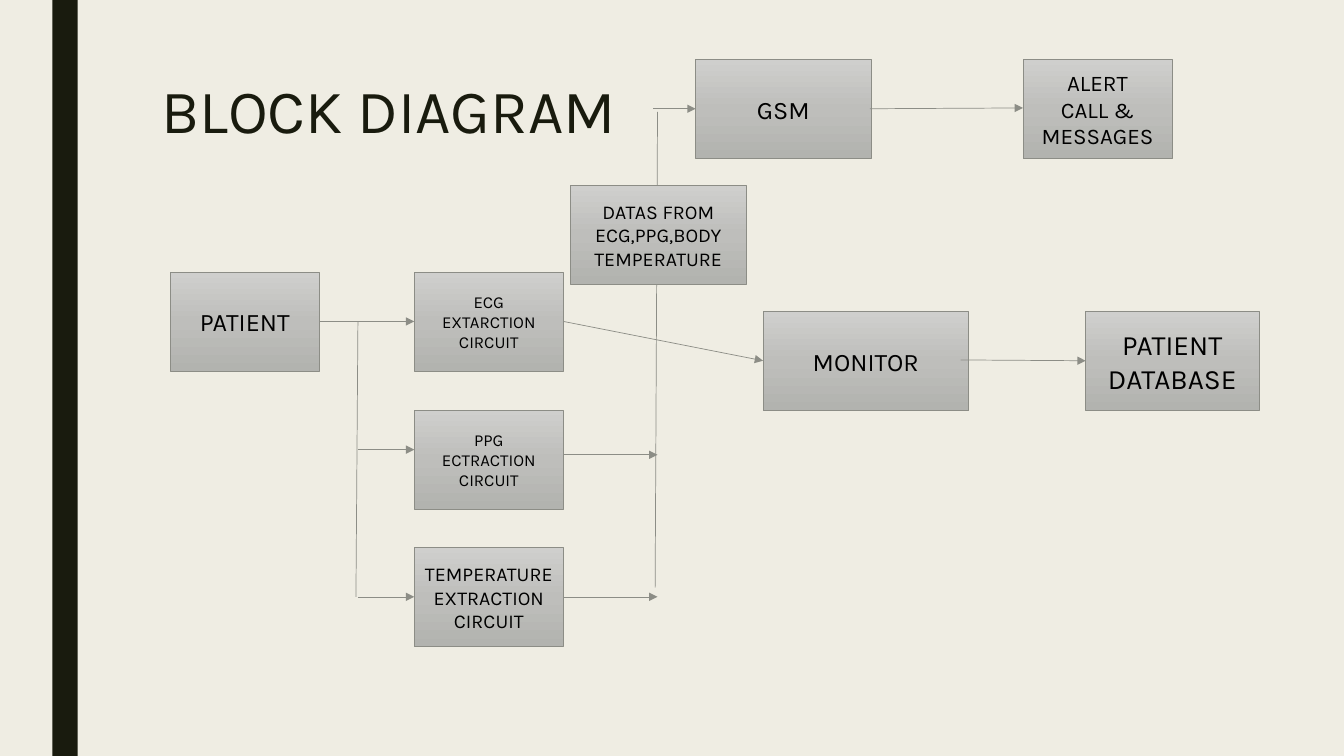
from copy import deepcopy

from lxml.etree import SubElement
from pptx import Presentation
from pptx.dml.color import RGBColor
from pptx.enum.shapes import MSO_CONNECTOR, MSO_SHAPE
from pptx.enum.text import MSO_ANCHOR, MSO_AUTO_SIZE, PP_ALIGN
from pptx.oxml.ns import qn
from pptx.util import Cm, Pt

FONT = "Karla"
INK = "191B0E"
LINE = "8C8D86"
GRADIENT = [(0, "CFCFCD"), (0.5, "BEBEBB"), (1, "B2B3AF")]

BOX_HEIGHT = 2.5
NARROW, MEDIUM = 3.76, 4.42
CIRCUIT_LEFT, CIRCUIT_TOP, CIRCUIT_PITCH = 10.44, 6.86, 3.47
CIRCUITS = [
    (["ECG", "EXTARCTION", "CIRCUIT"], 12),
    (["PPG", "ECTRACTION CIRCUIT"], 12),
    (["TEMPERATURE EXTRACTION CIRCUIT"], 14),
]
BLOCKS = [
    (["PATIENT"], 18, 4.29, CIRCUIT_TOP, NARROW),
    (["MONITOR"], 18, 19.23, 7.85, 5.18),
    (["PATIENT", "DATABASE"], 20, 27.36, 7.85, 4.37),
    (["GSM"], 18, 17.53, 1.5, MEDIUM),
    (["ALERT", "CALL & MESSAGES"], 16, 25.78, 1.5, NARROW),
    (["DATAS FROM ECG,PPG,BODY TEMPERATURE"], 14, 14.38, 4.67, MEDIUM),
]
ARROWS = [
    (14.2, 11.46, 16.57, 11.46),
    (14.2, 8.1, 19.23, 9.09),
    (24.21, 9.07, 27.36, 9.09),
    (9.02, 11.33, 10.44, 11.33),
    (9.02, 15.04, 10.44, 15.04),
    (8.05, 8.1, 10.44, 8.1),
    (14.2, 15.04, 16.57, 15.04),
    (16.46, 2.74, 17.53, 2.74),
    (21.92, 2.74, 25.78, 2.72),
]
TRUNKS = [(9.02, 8.1, 8.97, 15.04), (16.57, 2.82, 16.51, 14.81)]


def colour(value):
    """Turn a hex string into a colour."""
    return RGBColor.from_string(value)


def apply(target, values):
    """Set each attribute named in a dict of format values."""
    for name, value in values.items():
        setattr(target, name, value)


def add_span(para, text, size, ink):
    """Add one formatted run to a paragraph."""
    span = para.add_run()
    span.text = text
    apply(span.font, {"name": FONT, "size": Pt(size), "bold": False})
    span.font.color.rgb = colour(ink)


def fill_gradient(shape):
    """Give a shape the three-stop vertical gradient."""
    shape.fill.gradient()
    shape.fill.gradient_angle = 270
    first = shape.element.spPr.find(f".//{qn('a:gs')}")
    first.addnext(deepcopy(first))
    for stop, (position, value) in zip(shape.fill.gradient_stops, GRADIENT):
        stop.position = position
        stop.color.rgb = colour(value)


def add_rectangle(page, left, top, width, height):
    """Add a rectangle without shadow."""
    shape = page.shapes.add_shape(
        MSO_SHAPE.RECTANGLE, Cm(left), Cm(top), Cm(width), Cm(height))
    shape.shadow.inherit = False
    return shape


def add_block(page, lines, size, left, top, width):
    """Add a labelled block of the diagram."""
    box = add_rectangle(page, left, top, width, BOX_HEIGHT)
    fill_gradient(box)
    box.line.color.rgb = colour(LINE)
    box.line.width = Pt(0.5)
    frame = box.text_frame
    apply(frame, {"word_wrap": True, "vertical_anchor": MSO_ANCHOR.MIDDLE})
    for index, text in enumerate(lines):
        para = frame.add_paragraph() if index else frame.paragraphs[0]
        para.alignment = PP_ALIGN.CENTER
        add_span(para, text, size, "000000")


def add_line(page, ends, arrow=False):
    """Add a straight connector, with an arrowhead if wanted."""
    connector = page.shapes.add_connector(
        MSO_CONNECTOR.STRAIGHT, *[Cm(end) for end in ends])
    connector.line.color.rgb = colour(LINE)
    connector.line.width = Pt(0.5)
    if arrow:
        SubElement(connector.line._get_or_add_ln(), qn("a:tailEnd"), type="triangle")
    SubElement(connector._element.spPr, qn("a:effectLst"))


def add_title(page, text):
    """Place and format the title placeholder."""
    title = page.shapes.title
    apply(title, {"left": Cm(3.81), "top": Cm(1.9),
                  "width": Cm(26.67), "height": Cm(4.11)})
    frame = title.text_frame
    apply(frame, {"word_wrap": True, "auto_size": MSO_AUTO_SIZE.NONE,
                  "vertical_anchor": MSO_ANCHOR.TOP})
    para = frame.paragraphs[0]
    apply(para, {"alignment": PP_ALIGN.LEFT, "line_spacing": 0.89})
    add_span(para, text, 44, INK)


def add_side_bar(page):
    """Add the dark bar along the left side."""
    bar = add_rectangle(page, 1.32, 0, 0.64, 19.05)
    bar.fill.solid()
    bar.fill.fore_color.rgb = colour(INK)
    bar.line.fill.background()


def main():
    """Build the block diagram slide."""
    deck = Presentation()
    apply(deck, {"slide_width": Cm(33.87), "slide_height": Cm(19.05)})
    page = deck.slides.add_slide(deck.slide_layouts[5])
    page.background.fill.solid()
    page.background.fill.fore_color.rgb = colour("EFEDE3")
    add_side_bar(page)
    add_title(page, "BLOCK DIAGRAM")
    for ends in TRUNKS:
        add_line(page, ends)
    for row, (lines, size) in enumerate(CIRCUITS):
        top = CIRCUIT_TOP + row * CIRCUIT_PITCH
        add_block(page, lines, size, CIRCUIT_LEFT, top, NARROW)
    for block in BLOCKS:
        add_block(page, *block)
    for ends in ARROWS:
        add_line(page, ends, arrow=True)
    deck.save("out.pptx")


if __name__ == "__main__":
    main()
